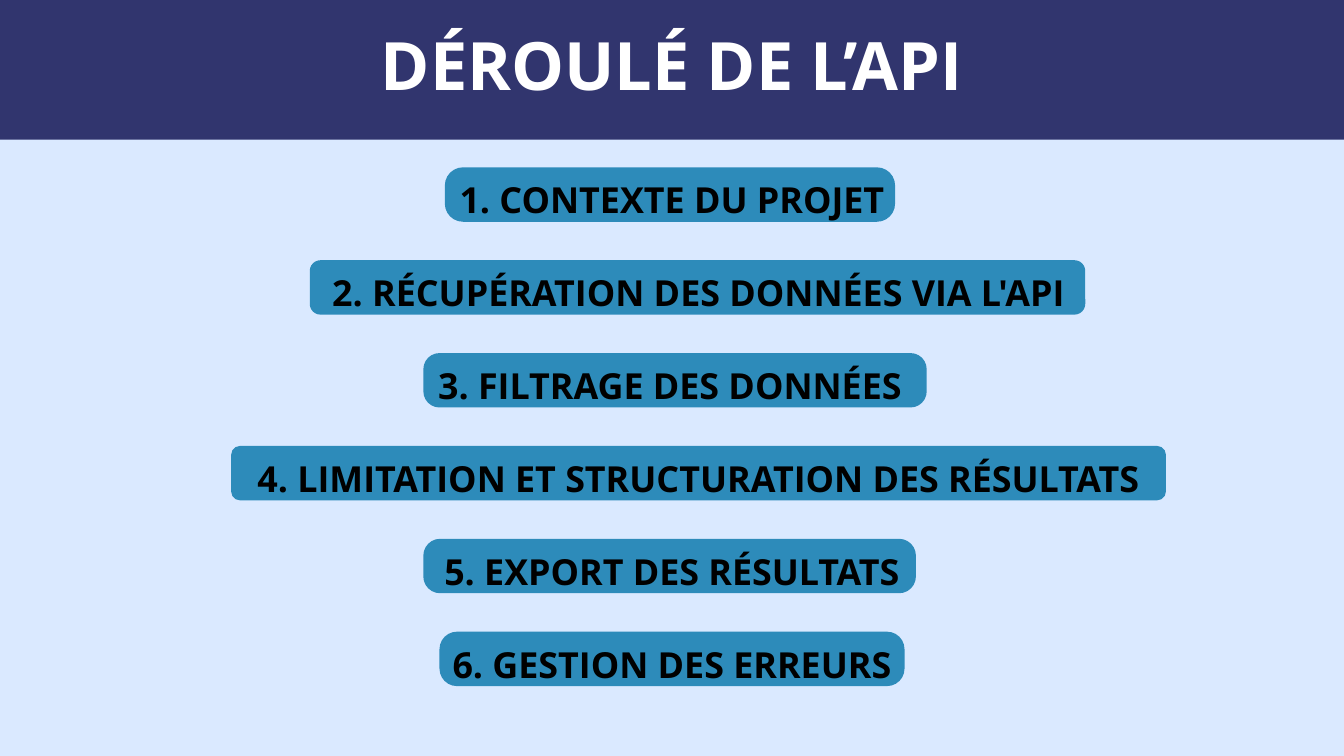
from dataclasses import dataclass

from pptx import Presentation
from pptx.dml.color import RGBColor
from pptx.enum import shapes, text
from pptx.util import Inches, Pt

FONT = "Open Sans"
NAVY = "31356E"
BLUE = "2D8BBA"
PALE = "DAE9FF"
WHITE = "FFFFFF"
BLACK = "000000"

FIRST_TOP = 2.49
LAST_TOP = 9.4
PILL_HEIGHT = 0.81
TEXT_OFFSET = 0.05
TEXT_HEIGHT = 0.71


@dataclass
class Step:
    label: str
    left: float
    width: float
    radius: float
    text_left: float
    text_width: float


STEPS = [
    Step("1. CONTEXTE DU PROJET", 6.62, 6.7, 0.27, 6.76, 6.48),
    Step("2. RÉCUPÉRATION DES DONNÉES VIA L'API", 4.61, 11.54, 0.16, 4.76, 11.27),
    Step("3. FILTRAGE DES DONNÉES", 6.3, 7.49, 0.24, 6.46, 7.02),
    Step("4. LIMITATION ET STRUCTURATION DES RÉSULTATS", 3.44, 13.91, 0.13, 3.68, 13.43),
    Step("5. EXPORT DES RÉSULTATS", 6.3, 7.33, 0.25, 6.55, 6.9),
    Step("6. GESTION DES ERREURS", 6.54, 6.92, 0.26, 6.71, 6.58),
]


def color(value: str) -> RGBColor:
    return RGBColor.from_string(value)


def add_block(page, kind, left: float, top: float, width: float, height: float, fill: str):
    block = page.shapes.add_shape(
        kind, Inches(left), Inches(top), Inches(width), Inches(height)
    )
    block.shadow.inherit = False
    block.fill.solid()
    block.fill.fore_color.rgb = color(fill)
    block.line.fill.background()
    return block


def write(box, label: str, size: float, spacing: float, ink: str) -> None:
    frame = box.text_frame
    frame.text = label
    frame.word_wrap = True
    frame.auto_size = text.MSO_AUTO_SIZE.NONE
    frame.vertical_anchor = text.MSO_ANCHOR.TOP
    frame.margin_left = frame.margin_right = 0
    frame.margin_top = frame.margin_bottom = 0
    para = frame.paragraphs[0]
    para.alignment = text.PP_ALIGN.CENTER
    para.line_spacing = Pt(spacing)
    font = para.runs[0].font
    font.name = FONT
    font.size = Pt(size)
    font.bold = True
    font.color.rgb = color(ink)


def add_header(page, label: str) -> None:
    banner = add_block(page, shapes.MSO_SHAPE.RECTANGLE, 0, 0, 20, 2.08, NAVY)
    title = page.shapes.title
    title.element.addprevious(banner.element)
    title.left, title.top = Inches(0.94), Inches(0.6)
    title.width, title.height = Inches(18.12), Inches(1.96)
    write(title, label, 71.4, 68.5, WHITE)


def add_step(page, step: Step, top: float) -> None:
    pill = add_block(
        page, shapes.MSO_SHAPE.ROUNDED_RECTANGLE,
        step.left, top, step.width, PILL_HEIGHT, BLUE,
    )
    pill.adjustments[0] = step.radius / PILL_HEIGHT
    box = page.shapes.add_textbox(
        Inches(step.text_left), Inches(top + TEXT_OFFSET),
        Inches(step.text_width), Inches(TEXT_HEIGHT),
    )
    write(box, step.label, 38.4, 53.8, BLACK)


def main() -> None:
    deck = Presentation()
    deck.slide_width, deck.slide_height = Inches(20), Inches(11.25)
    page = deck.slides.add_slide(deck.slide_layouts.get_by_name("Title Only"))
    page.background.fill.solid()
    page.background.fill.fore_color.rgb = color(PALE)
    add_header(page, "DÉROULÉ DE L’API")
    pitch = (LAST_TOP - FIRST_TOP) / (len(STEPS) - 1)
    for index, step in enumerate(STEPS):
        add_step(page, step, FIRST_TOP + index * pitch)
    deck.save("out.pptx")


if __name__ == "__main__":
    main()
